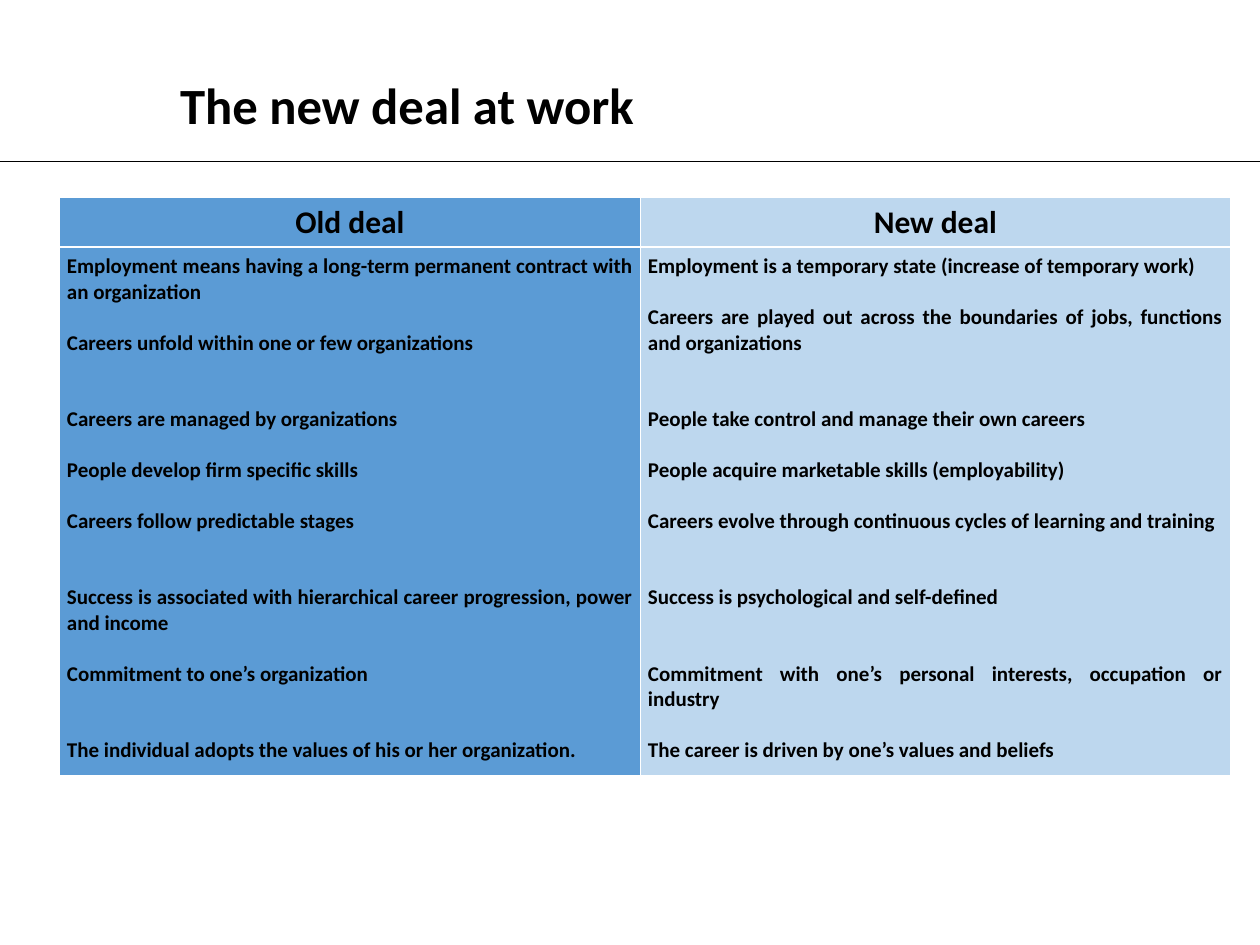
from lxml.etree import SubElement
from pptx import Presentation
from pptx.dml.color import RGBColor as Rgb
from pptx.enum.shapes import MSO_CONNECTOR as Link
from pptx.enum.text import MSO_ANCHOR as Anchor, PP_ALIGN as Align
from pptx.oxml import parse_xml
from pptx.oxml.ns import nsdecls, qn
from pptx.util import Pt

HUES = {"ink": "000000", "edge": "FFFFFF", "old": "5B9BD5", "new": "BDD7EE"}
GAP = 14.5
HEADS = ["Old deal", "New deal"]
OLD = [
    (0, "Employment means having a long-term permanent contract with an organization"),
    (1, "Careers unfold within one or few organizations"),
    (2, "Careers are managed by organizations"),
    (1, "People develop firm specific skills"),
    (1, "Careers follow predictable stages"),
    (2, "Success is associated with hierarchical career progression, power and income"),
    (1, "Commitment to one’s organization"),
    (2, "The individual adopts the values of his or her organization."),
]
NEW = [
    (0, "Employment is a temporary state (increase of temporary work)"),
    (1, "Careers are played out across the boundaries of jobs, functions and organizations"),
    (2, "People take control and manage their own careers"),
    (1, "People acquire marketable skills (employability)"),
    (1, "Careers evolve through continuous cycles of learning and training"),
    (2, "Success is psychological and self-defined"),
    (2, "Commitment with one’s personal interests, occupation or industry"),
    (1, "The career is driven by one’s values and beliefs"),
]


class Deck:
    """Hold the style and the current slide."""

    def __init__(self, wide, high):
        self.show = Presentation()
        self.show.slide_width, self.show.slide_height = Pt(wide), Pt(high)
        self.slide = self.show.slides.add_slide(self.show.slide_layouts[6])
        self.face = "Calibri"

    def tint(self, name):
        return Rgb.from_string(HUES[name])

    def words(self, para, text, size):
        run = para.add_run()
        run.text = text
        font = run.font
        font.name, font.size, font.bold = self.face, Pt(size), True
        font.color.rgb = self.tint("ink")

    def title(self, text, size, *area):
        frame = self.slide.shapes.add_textbox(*map(Pt, area)).text_frame
        frame.word_wrap = True
        frame.vertical_anchor = Anchor.TOP
        para = frame.paragraphs[0]
        para.line_spacing = 0.9
        self.words(para, text, size)

    def rule(self, left, right, y):
        line = self.slide.shapes.add_connector(
            Link.STRAIGHT, Pt(left), Pt(y), Pt(right), Pt(y))
        line.line.color.rgb = self.tint("ink")
        line.line.width = Pt(0.5)
        SubElement(line._element.spPr, qn("a:effectLst"))

    def table(self, left, top, cols, rows):
        area = map(Pt, (left, top, sum(cols), sum(rows)))
        grid = self.slide.shapes.add_table(len(rows), len(cols), *area).table
        grid.horz_banding = False
        for part, wide in zip(grid.columns, cols):
            part.width = Pt(wide)
        for part, high in zip(grid.rows, rows):
            part.height = Pt(high)
        return grid

    def cell(self, cell, items, size, align, fill, edges):
        cell.fill.solid()
        cell.fill.fore_color.rgb = self.tint(fill)
        cell.margin_left = cell.margin_right = Pt(4.3)
        cell.margin_top = cell.margin_bottom = Pt(3.6)
        for spot, (side, width) in enumerate(edges.items()):
            cell._tc.tcPr.insert(spot, parse_xml(
                f'<a:ln{side} {nsdecls("a")} w="{Pt(width)}"><a:solidFill>'
                f'<a:srgbClr val="{HUES["edge"]}"/></a:solidFill></a:ln{side}>'))
        frame = cell.text_frame
        for spot, (gap, text) in enumerate(items):
            para = frame.add_paragraph() if spot else frame.paragraphs[0]
            para.alignment = align
            para.space_before = Pt(gap * GAP)
            self.words(para, text, size)


def main():
    deck = Deck(720, 540)
    deck.rule(0, 720, 92.2)
    deck.title("The new deal at work", 29, 95.8, 42.5, 617, 55.4)
    grid = deck.table(34, 112.5, (332, 337), (28.8, 301.7))
    thin, thick = 0.45, 1.47
    top = {"L": thin, "R": thin, "T": thin, "B": thick}
    low = {**top, "T": thick, "B": thin}
    for col, (head, items, fill) in enumerate(zip(HEADS, (OLD, NEW), ("old", "new"))):
        deck.cell(grid.cell(0, col), [(0, head)], 18, Align.CENTER, fill, top)
        deck.cell(grid.cell(1, col), items, 12, Align.JUSTIFY, fill, low)
    deck.show.save("out.pptx")


if __name__ == "__main__":
    main()
